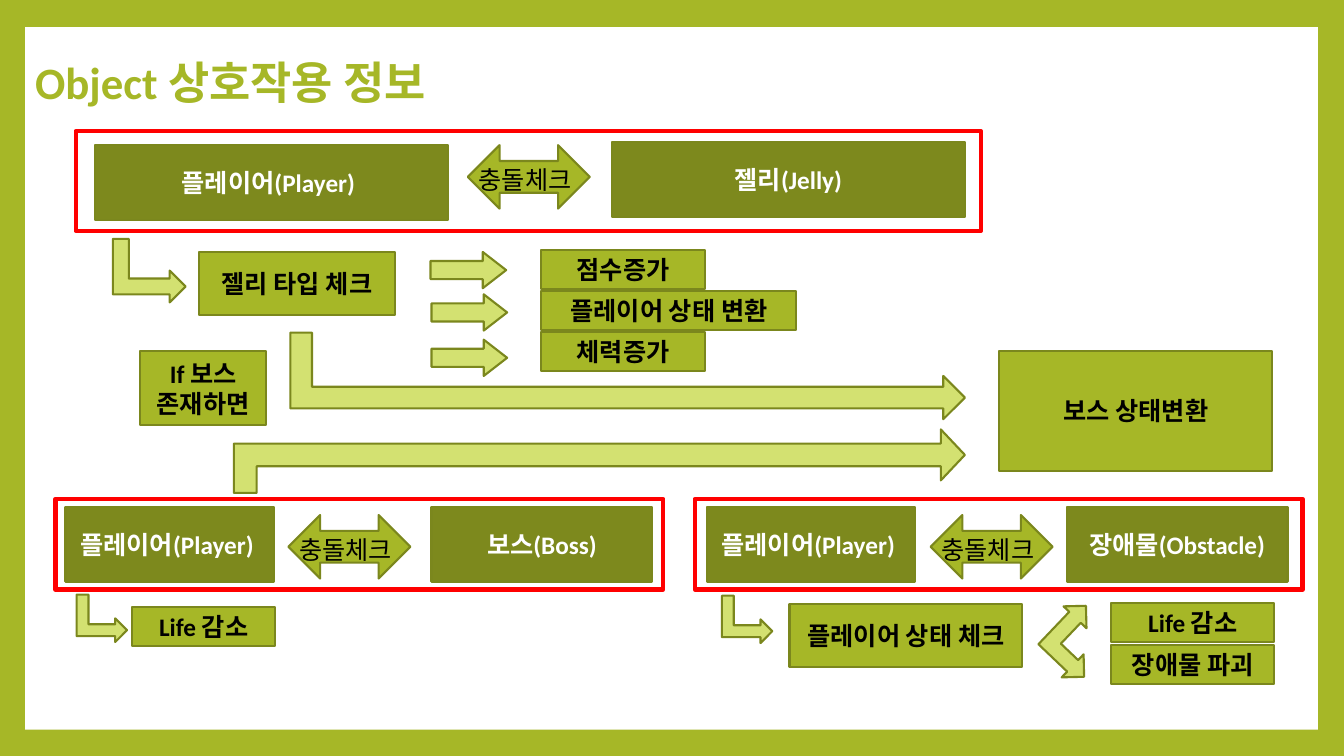
import pptx
import pptx.util
import pptx.dml.color
import pptx.enum.shapes
import pptx.enum.text

Inches = pptx.util.Inches
RGBColor = pptx.dml.color.RGBColor
SHAPE = pptx.enum.shapes.MSO_SHAPE
ALIGN = pptx.enum.text.PP_ALIGN
ANCHOR = pptx.enum.text.MSO_ANCHOR

GREEN = RGBColor(0xA6, 0xB7, 0x27)
OLIVE = RGBColor(0x7D, 0x89, 0x1D)
OUTLINE = RGBColor(0x7B, 0x87, 0x1D)
LIME = RGBColor(0xD3, 0xE1, 0x71)
RED = RGBColor(0xFF, 0x00, 0x00)
WHITE = RGBColor(0xFF, 0xFF, 0xFF)
BLACK = RGBColor(0x00, 0x00, 0x00)

STEP_HEIGHT = 0.39
PLAYER = "플레이어(Player) "


def write(frame, text, size=18, color=BLACK, bold=True, align=ALIGN.CENTER,
          anchor=ANCHOR.MIDDLE, spacing=1.0):
    frame.word_wrap = True
    frame.vertical_anchor = anchor
    paragraph = frame.paragraphs[0]
    paragraph.alignment = align
    paragraph.line_spacing = spacing
    run = paragraph.add_run()
    run.text = text
    run.font.name = "Calibri"
    run.font.size = pptx.util.Pt(size)
    run.font.bold = bold
    run.font.color.rgb = color


def draw(slide, preset, left, top, width, height, fill=GREEN, line=OUTLINE,
         weight=1.5):
    """Add a preset shape; None for fill or line leaves that part out."""
    shape = slide.shapes.add_shape(
        preset, Inches(left), Inches(top), Inches(width), Inches(height))
    shape.shadow.inherit = False
    if fill is None:
        shape.fill.background()
    else:
        shape.fill.solid()
        shape.fill.fore_color.rgb = fill
    if line is None:
        shape.line.fill.background()
    else:
        shape.line.color.rgb = line
        shape.line.width = pptx.util.Pt(weight)
    return shape


def label(slide, text, left, top, width, height, **text_format):
    box = slide.shapes.add_textbox(
        Inches(left), Inches(top), Inches(width), Inches(height))
    write(box.text_frame, text, **text_format)


def step(slide, text, left, top, width, height=STEP_HEIGHT):
    write(draw(slide, SHAPE.RECTANGLE, left, top, width, height).text_frame, text)


def actor(slide, text, left, top, width):
    shape = draw(slide, SHAPE.RECTANGLE, left, top, width, 0.74, fill=OLIVE)
    write(shape.text_frame, text, color=WHITE)


def bent_arrow(slide, left, top, width, height, rising=False, adjustments=()):
    """Draw an arrow that drops (or rises) and then points right, filling the box."""
    arrow = draw(slide, SHAPE.BENT_UP_ARROW, left + (width - height) / 2,
                 top + (height - width) / 2, height, width, fill=LIME)
    arrow.rotation = 90
    if rising:
        arrow._element.spPr.xfrm.set("flipH", "1")
    for index, value in enumerate(adjustments):
        arrow.adjustments[index] = value


def collision(slide, left, top, width, height, target, player_at, check_at,
              target_at, player_width, target_width):
    """Frame the player and its target; each *_at is an offset within the frame."""
    actor(slide, PLAYER, left + player_at[0], top + player_at[1], player_width)
    actor(slide, target, left + target_at[0], top + target_at[1], target_width)
    check_left, check_top = left + check_at[0], top + check_at[1]
    draw(slide, SHAPE.LEFT_RIGHT_ARROW, check_left, check_top, 1.21, 0.63)
    label(slide, "충돌체크", check_left + 0.01, check_top + 0.14, 1.21, 0.4,
          bold=False, align=ALIGN.LEFT, anchor=ANCHOR.TOP)
    draw(slide, SHAPE.RECTANGLE, left, top, width, height, fill=None, line=RED,
         weight=3)


def jelly_effects(slide, left, top):
    bent_arrow(slide, left, top + 0.01, 0.72, 0.63)
    step(slide, "젤리 타입 체크", left + 0.85, top + 0.14, 1.95, 0.63)
    effects = [("점수증가", 1.62, 3.15, 0.14),
               ("플레이어 상태 변환", 2.53, 3.16, 0.56),
               ("체력증가", 1.62, 3.16, 1.01)]
    for row, (text, width, arrow_x, arrow_y) in enumerate(effects):
        arrow = draw(slide, SHAPE.RIGHT_ARROW, left + arrow_x, top + arrow_y,
                     0.75, 0.36, fill=LIME)
        arrow.adjustments[1] = 0.645
        step(slide, text, left + 4.25, top + 0.12 + 0.405 * row, width)


def boss_change(slide, left, top):
    step(slide, "If 보스 존재하면", left, top + 0.18, 1.25, 0.74)
    bent_arrow(slide, left + 1.49, top, 6.69, 0.86)
    bent_arrow(slide, left + 0.93, top + 0.96, 7.25, 0.63, rising=True,
               adjustments=(0.357, 0.401, 0.379))
    step(slide, "보스 상태변환", left + 8.52, top + 0.18, 2.71, 1.19)


def boss_effects(slide, left, top):
    bent_arrow(slide, left, top, 0.5, 0.47)
    step(slide, "Life 감소", left + 0.55, top + 0.12, 1.42)


def obstacle_effects(slide, left, top):
    bent_arrow(slide, left, top, 0.5, 0.47)
    step(slide, "플레이어 상태 체크", left + 0.67, top + 0.08, 2.31, 0.63)
    fork = draw(slide, SHAPE.LEFT_UP_ARROW, left + 3.15, top + 0.14, 0.68, 0.63,
                fill=LIME)
    fork.rotation = 133.6
    for row, text in enumerate(["Life 감소", "장애물 파괴"]):
        step(slide, text, left + 3.86, top + 0.07 + 0.42 * row, 1.62)


def main():
    deck = pptx.Presentation()
    deck.slide_width, deck.slide_height = Inches(13.33), Inches(7.5)
    slide = deck.slides.add_slide(deck.slide_layouts[6])
    slide.background.fill.solid()
    slide.background.fill.fore_color.rgb = GREEN
    draw(slide, SHAPE.RECTANGLE, 0.25, 0.27, 12.82, 6.97, fill=WHITE, line=None)
    label(slide, "Object 상호작용 정보", 0.25, 0.26, 7.36, 1.16, size=32,
          color=GREEN, align=ALIGN.LEFT, spacing=0.9)

    collision(slide, 0.75, 1.3, 8.98, 0.99, "젤리(Jelly)",
              player_at=(0.19, 0.14), check_at=(3.89, 0.14),
              target_at=(5.32, 0.11), player_width=3.5, target_width=3.5)
    jelly_effects(slide, 1.12, 2.36)
    boss_change(slide, 1.39, 3.3)

    collision(slide, 0.55, 4.95, 6.03, 0.9, "보스(Boss)",
              player_at=(0.1, 0.08), check_at=(2.31, 0.16),
              target_at=(3.73, 0.08), player_width=2.07, target_width=2.19)
    boss_effects(slide, 0.76, 5.9)

    collision(slide, 6.89, 4.95, 6.03, 0.9, "장애물(Obstacle)",
              player_at=(0.12, 0.08), check_at=(2.34, 0.16),
              target_at=(3.69, 0.08), player_width=2.07, target_width=2.19)
    obstacle_effects(slide, 7.16, 5.91)
    deck.save("out.pptx")


if __name__ == "__main__":
    main()
